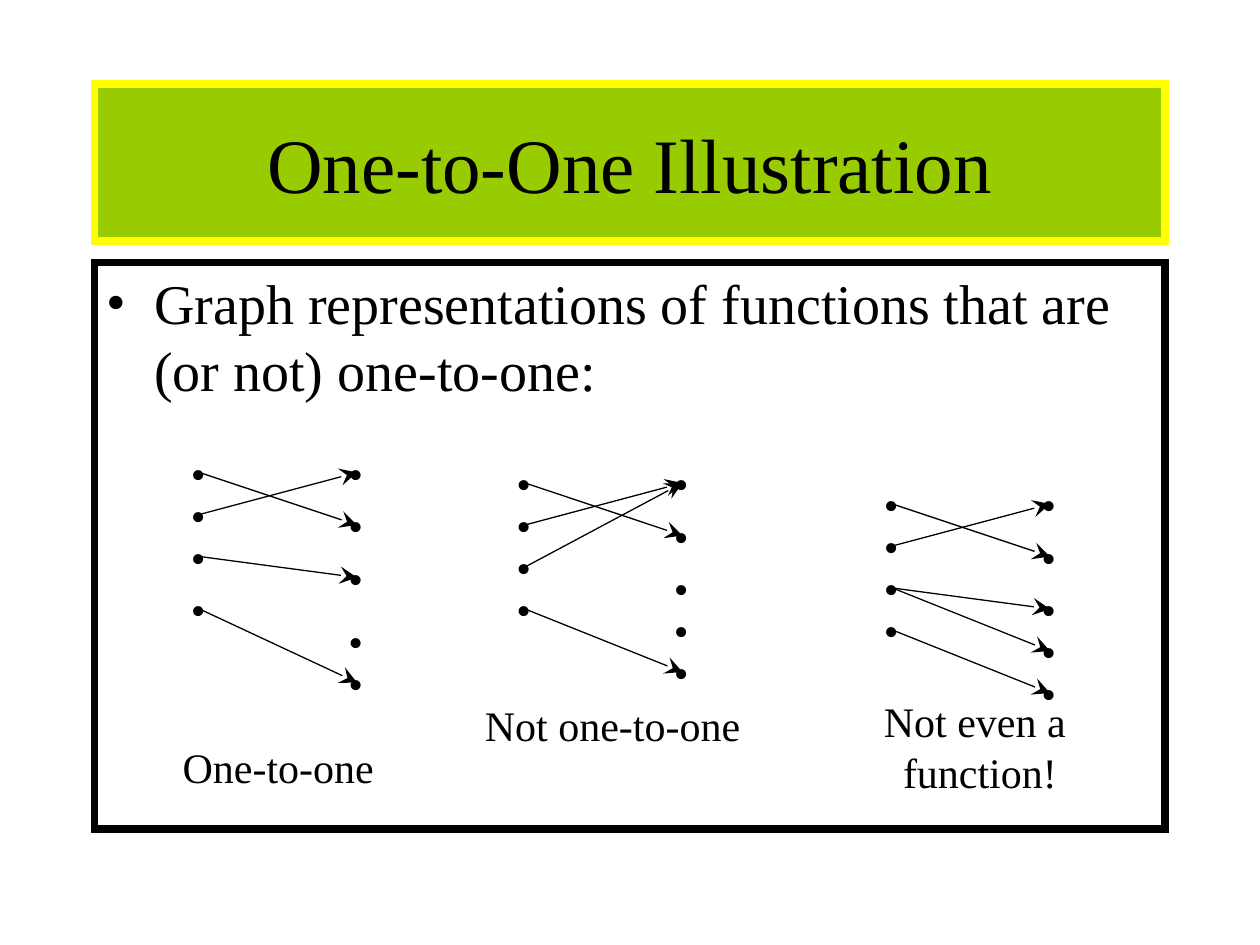
from lxml import etree
from pptx import Presentation
from pptx.dml.color import RGBColor
from pptx.enum.shapes import MSO_CONNECTOR, MSO_SHAPE
from pptx.enum.text import MSO_ANCHOR, MSO_AUTO_SIZE, PP_ALIGN
from pptx.oxml.ns import qn
from pptx.util import Pt

RECTANGLE = MSO_SHAPE.RECTANGLE
STRAIGHT = MSO_CONNECTOR.STRAIGHT
TOP, MIDDLE = MSO_ANCHOR.TOP, MSO_ANCHOR.MIDDLE
FIT_SHAPE = MSO_AUTO_SIZE.SHAPE_TO_FIT_TEXT
LEFT, CENTER = PP_ALIGN.LEFT, PP_ALIGN.CENTER

FONT = "Times New Roman"
COLORS = {"ink": "000000", "paper": "FFFFFF", "green": "99CC00", "yellow": "FFFF00"}
DOMAIN_TO_RANGE = 90
DOT_WIDTH, LINE_HEIGHT = 22.4, 36
HANGING_INDENT = 27

MAPPINGS = [
    {
        "x": 114,
        "domain": [270, 294, 318, 348],
        "range": [270, 300, 330, 366, 390],
        "arrows": [(0, 1), (1, 0), (2, 2), (3, 4)],
        "caption": ("One-to-one", 94, 420, 130, LINE_HEIGHT),
    },
    {
        "x": 300,
        "domain": [276, 300, 324, 348],
        "range": [276, 306, 336, 360, 384],
        "arrows": [(0, 1), (1, 0), (2, 0), (3, 4)],
        "caption": ("Not one-to-one", 265, 396, 170, LINE_HEIGHT),
    },
    {
        "x": 510,
        "domain": [288, 312, 336, 360],
        "range": [288, 318, 348, 372, 396],
        "arrows": [(0, 1), (1, 0), (2, 3), (3, 4), (2, 2)],
        "caption": ("Not even a \vfunction!", 493, 394, 134, 65),
    },
]


def rgb(color):
    return RGBColor.from_string(COLORS[color])


def write(frame, text, size, align, anchor):
    frame.vertical_anchor = anchor
    paragraph = frame.paragraphs[0]
    paragraph.text = text
    paragraph.alignment = align
    paragraph.font.name = FONT
    paragraph.font.size = Pt(size)
    paragraph.font.color.rgb = rgb("ink")


def add_panel(slide, top, height, fill, border):
    panel = slide.shapes.add_shape(RECTANGLE, Pt(54), Pt(top), Pt(612), Pt(height))
    panel.shadow.inherit = False
    panel.fill.solid()
    panel.fill.fore_color.rgb = rgb(fill)
    panel.line.color.rgb = rgb(border)
    panel.line.width = Pt(4.5)
    etree.SubElement(panel.line._get_or_add_ln(), qn("a:miter"), lim="800000")
    return panel.text_frame


def add_bullet(paragraph):
    properties = paragraph._p.get_or_add_pPr()
    properties.set("marL", str(Pt(HANGING_INDENT)))
    properties.set("indent", str(-Pt(HANGING_INDENT)))
    etree.SubElement(properties, qn("a:buFont"), typeface=FONT)
    etree.SubElement(properties, qn("a:buChar"), char="•")


def add_label(slide, text, left, top, width, height):
    label = slide.shapes.add_textbox(Pt(left), Pt(top), Pt(width), Pt(height))
    label.text_frame.word_wrap = False
    label.text_frame.auto_size = FIT_SHAPE
    write(label.text_frame, text, 24, CENTER, MIDDLE)


def add_dot(slide, x, y):
    add_label(slide, "•", x - 12, y - LINE_HEIGHT / 2, DOT_WIDTH, LINE_HEIGHT)


def add_arrow(slide, x, start_y, end_y):
    arrow = slide.shapes.add_connector(
        STRAIGHT, Pt(x), Pt(start_y), Pt(x + DOMAIN_TO_RANGE), Pt(end_y))
    arrow.line.color.rgb = rgb("ink")
    arrow.line.width = Pt(0.75)
    etree.SubElement(arrow.line._get_or_add_ln(), qn("a:tailEnd"),
                     type="stealth", w="lg", len="lg")
    etree.SubElement(arrow._element.spPr, qn("a:effectLst"))


def add_mapping(slide, mapping):
    x = mapping["x"]
    for y in mapping["domain"]:
        add_dot(slide, x, y)
    for y in mapping["range"]:
        add_dot(slide, x + DOMAIN_TO_RANGE, y)
    for source, target in mapping["arrows"]:
        add_arrow(slide, x, mapping["domain"][source], mapping["range"][target])
    add_label(slide, *mapping["caption"])


def main():
    presentation = Presentation()
    presentation.slide_width, presentation.slide_height = Pt(720), Pt(540)
    slide = presentation.slides.add_slide(presentation.slide_layouts[6])

    title = add_panel(slide, 48, 90, "green", "yellow")
    write(title, "One-to-One Illustration", 44, CENTER, MIDDLE)

    body = add_panel(slide, 150, 324, "paper", "ink")
    add_bullet(body.paragraphs[0])
    write(body, "Graph representations of functions that are (or not) one-to-one:",
          32, LEFT, TOP)

    for mapping in MAPPINGS:
        add_mapping(slide, mapping)

    presentation.save("out.pptx")


if __name__ == "__main__":
    main()
